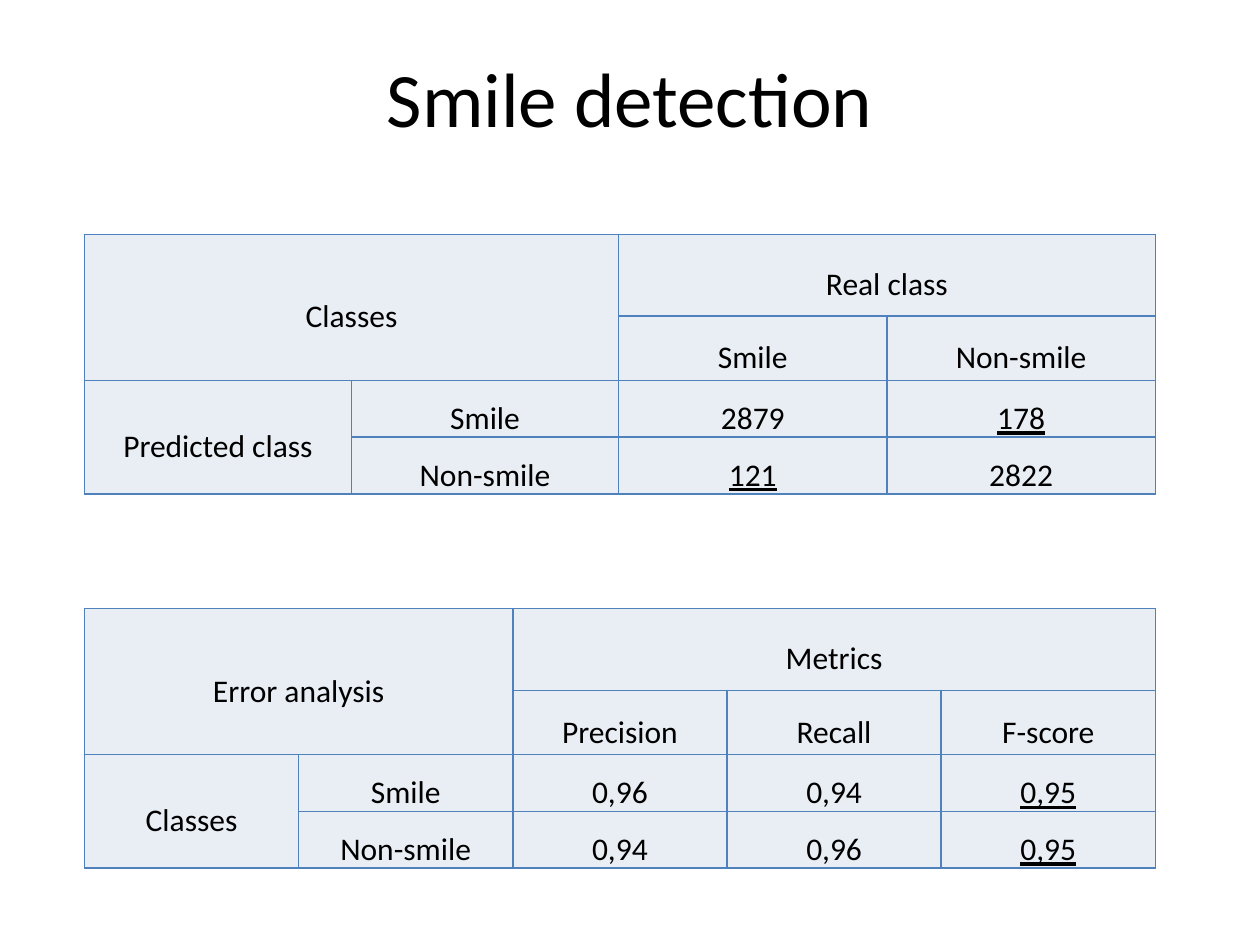
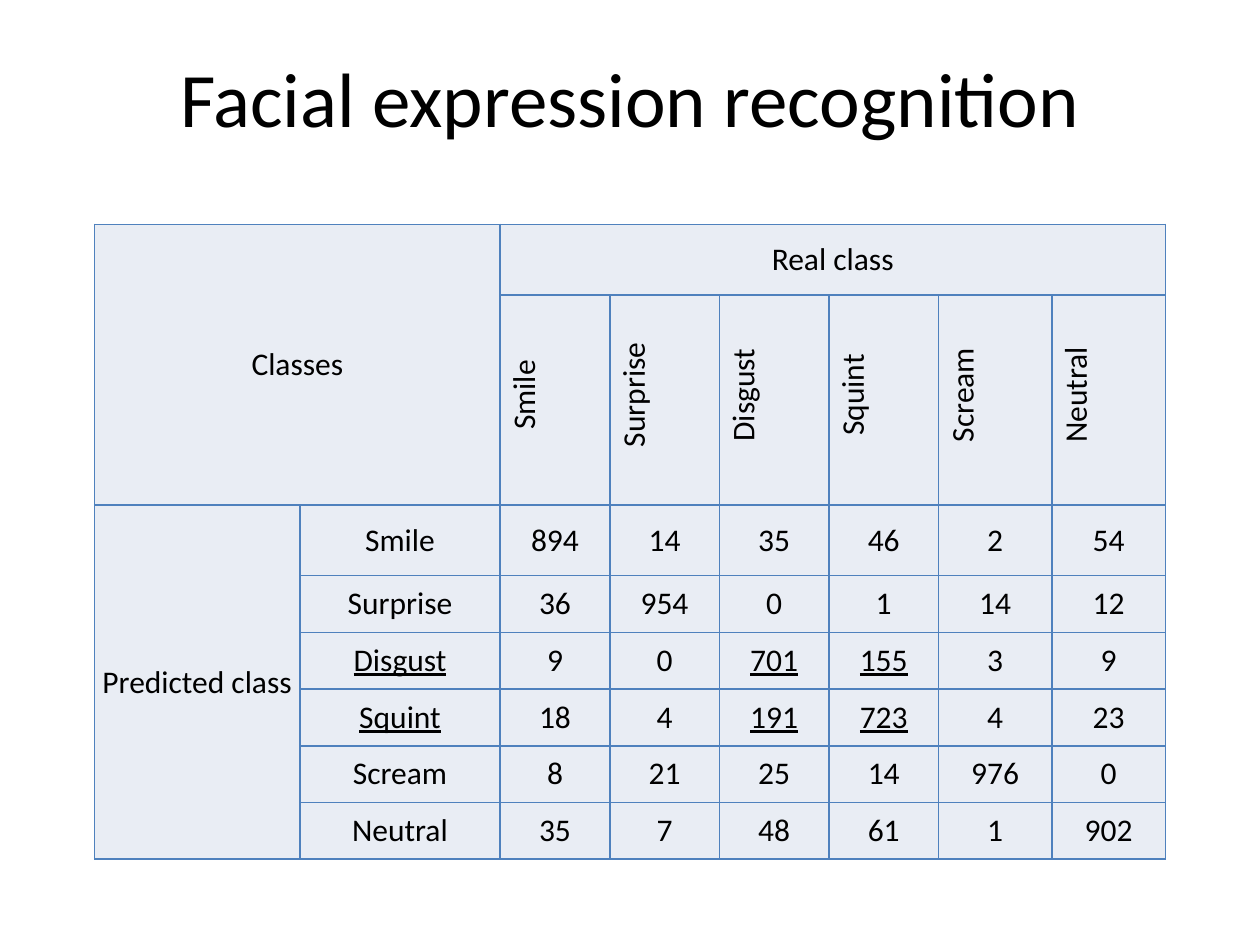
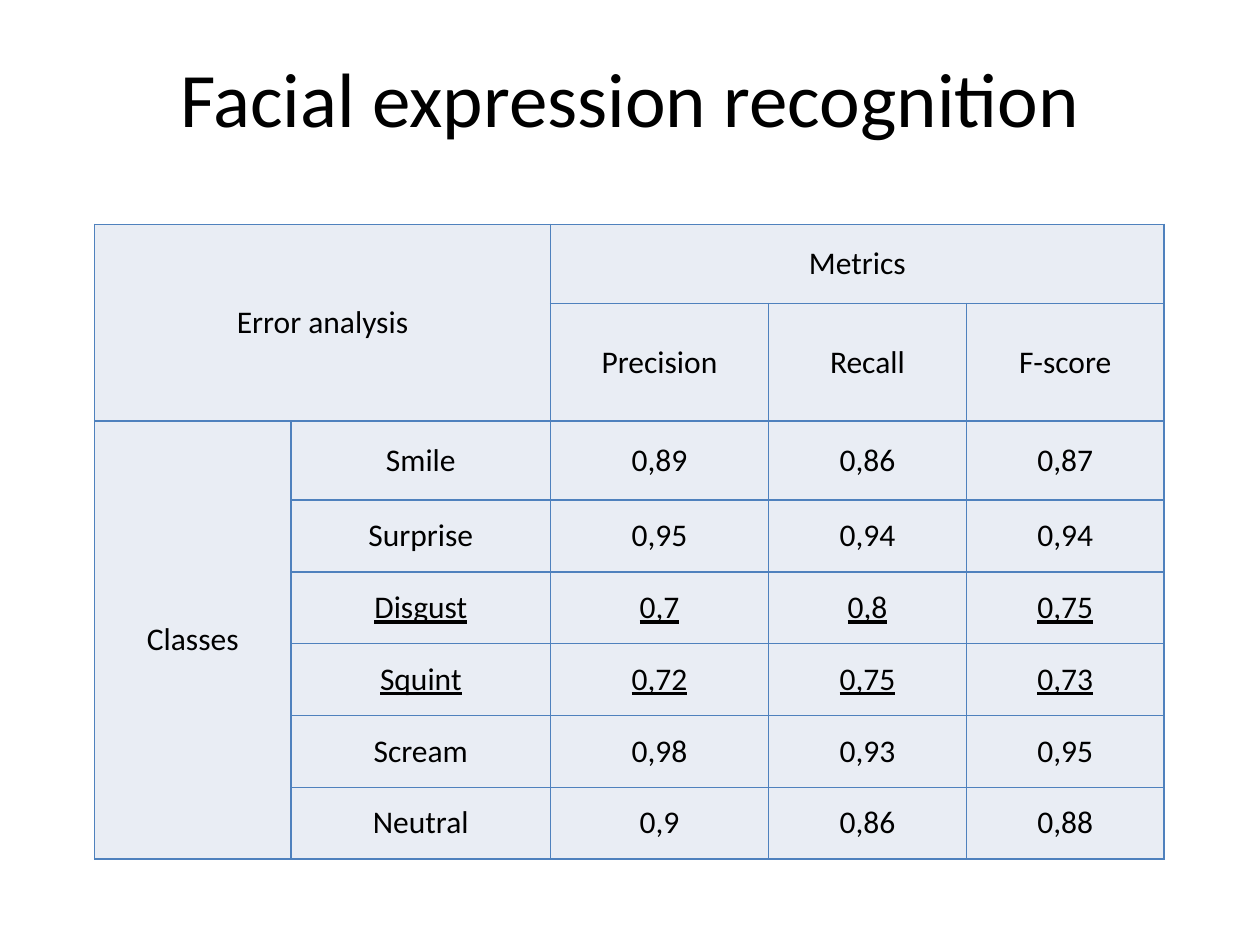
"""Builds three slides of classification results as merged-header tables."""
from pptx import Presentation
from pptx.dml.color import RGBColor
from pptx.enum.text import MSO_ANCHOR as Anchor, PP_ALIGN as Align
from pptx.oxml import parse_xml
from pptx.oxml.ns import nsdecls
from pptx.util import Inches, Pt

COLORS = {"text": "000000", "page": "FFFFFF", "cell": "E9EDF4", "border": "4F81BD"}
LOOSE = {"side": 0.07, "edge": 0, "spacing": 1.5}
COMPACT = {"side": 0.04, "edge": 0.04, "spacing": 1}
METRICS = "Precision Recall F-score"
LOOSE_HEIGHTS = [0.65, 0.51, 0.43, 0.45]


def apply(target, values):
    for name, value in values.items():
        setattr(target, name, value)


class ResultDeck:
    """Holds the shared style and the current slide."""

    def __init__(self):
        self.deck = Presentation()
        apply(self.deck, {"slide_width": Inches(10), "slide_height": Inches(7.5)})
        self.page = None

    def color(self, name):
        return RGBColor.from_string(COLORS[name])

    def add_page(self, title):
        self.page = self.deck.slides.add_slide(self.deck.slide_layouts[6])
        self.page.background.fill.solid()
        self.page.background.fill.fore_color.rgb = self.color("page")
        box = self.page.shapes.add_textbox(Inches(0.12), Inches(0.3), Inches(9.76), Inches(0.93))
        apply(box.text_frame, {"word_wrap": True, "vertical_anchor": Anchor.MIDDLE})
        self.add_text(box.text_frame.paragraphs[0], title, 44)

    def add_text(self, para, text, size, underline=False):
        para.alignment = Align.CENTER
        span = para.add_run()
        span.text = text
        apply(span.font, {"name": "Calibri", "size": Pt(size), "underline": underline})
        span.font.color.rgb = self.color("text")

    def style_cell(self, cell, layout):
        side, edge = Inches(layout["side"]), Inches(layout["edge"])
        apply(cell, {
            "margin_left": side, "margin_right": side,
            "margin_top": edge, "margin_bottom": edge,
            "vertical_anchor": Anchor.MIDDLE,
        })
        cell.fill.solid()
        cell.fill.fore_color.rgb = self.color("cell")
        properties = cell._tc.get_or_add_tcPr()
        for position, name in enumerate(("lnL", "lnR", "lnT", "lnB")):
            properties.insert(position, parse_xml(
                f'<a:{name} {nsdecls("a")} w="{Pt(1)}"><a:solidFill>'
                f'<a:srgbClr val="{COLORS["border"]}"/></a:solidFill></a:{name}>'))

    def turn_cell(self, cell):
        cell._tc.get_or_add_tcPr().set("vert", "vert270")
        indent = str(Inches(0.08))
        cell.text_frame.paragraphs[0]._p.get_or_add_pPr().set("marL", indent)

    def add_results(self, place, widths, heights, headings, columns, rows, layout, turned=False):
        """Draws a table; a leading underscore in a row entry underlines it."""
        left, top = place
        frame = self.page.shapes.add_table(
            len(heights), len(widths), Inches(left), Inches(top),
            Inches(sum(widths)), Inches(sum(heights)))
        table = frame.table
        apply(table, {"first_row": False, "horz_banding": False})
        for column, width in zip(table.columns, widths):
            column.width = Inches(width)
        for row, height in zip(table.rows, heights):
            row.height = Inches(height)
        for cell in table.iter_cells():
            self.style_cell(cell, layout)

        last_row, last_column = len(heights) - 1, len(widths) - 1
        table.cell(0, 0).merge(table.cell(1, 1))
        table.cell(0, 2).merge(table.cell(0, last_column))
        table.cell(2, 0).merge(table.cell(last_row, 0))

        corner, group, side = headings
        entries = {(0, 0): corner, (0, 2): group, (2, 0): side}
        entries |= {(1, c): text for c, text in enumerate(columns.split(), 2)}
        entries |= {(r, c): text for r, line in enumerate(rows, 2)
                    for c, text in enumerate(line.split(), 1)}
        for (r, c), text in entries.items():
            cell = table.cell(r, c)
            para = cell.text_frame.paragraphs[0]
            para.line_spacing = layout["spacing"]
            self.add_text(para, text.lstrip("_"), 18, text.startswith("_"))
            if turned and r == 1:
                self.turn_cell(cell)


def main():
    results = ResultDeck()

    results.add_page("Smile detection")
    results.add_results(
        (0.67, 1.86), [2.12, 2.12, 2.13, 2.13], LOOSE_HEIGHTS,
        ("Classes", "Real class", "Predicted class"), "Smile Non-smile",
        ["Smile 2879 _178", "Non-smile _121 2822"], LOOSE)
    results.add_results(
        (0.67, 4.83), [1.7] * 5, LOOSE_HEIGHTS,
        ("Error analysis", "Metrics", "Classes"), METRICS,
        ["Smile 0,96 0,94 _0,95", "Non-smile 0,94 0,96 _0,95"], LOOSE)

    results.add_page("Facial expression recognition")
    results.add_results(
        (0.75, 1.78), [1.63, 1.59] + [0.87] * 4 + [0.9] * 2,
        [0.56, 1.67, 0.56] + [0.45] * 5,
        ("Classes", "Real class", "Predicted class"),
        "Smile Surprise Disgust Squint Scream Neutral",
        ["Smile 894 14 35 46 2 54",
         "Surprise 36 954 0 1 14 12",
         "_Disgust 9 0 _701 _155 3 9",
         "_Squint 18 4 _191 _723 4 23",
         "Scream 8 21 25 14 976 0",
         "Neutral 35 7 48 61 1 902"], COMPACT, turned=True)

    results.add_page("Facial expression recognition")
    results.add_results(
        (0.75, 1.78), [1.56, 2.06, 1.73, 1.57, 1.57],
        [0.63, 0.93, 0.63] + [0.57] * 5,
        ("Error analysis", "Metrics", "Classes"), METRICS,
        ["Smile 0,89 0,86 0,87",
         "Surprise 0,95 0,94 0,94",
         "_Disgust _0,7 _0,8 _0,75",
         "_Squint _0,72 _0,75 _0,73",
         "Scream 0,98 0,93 0,95",
         "Neutral 0,9 0,86 0,88"], COMPACT)

    results.deck.save("out.pptx")


if __name__ == "__main__":
    main()
